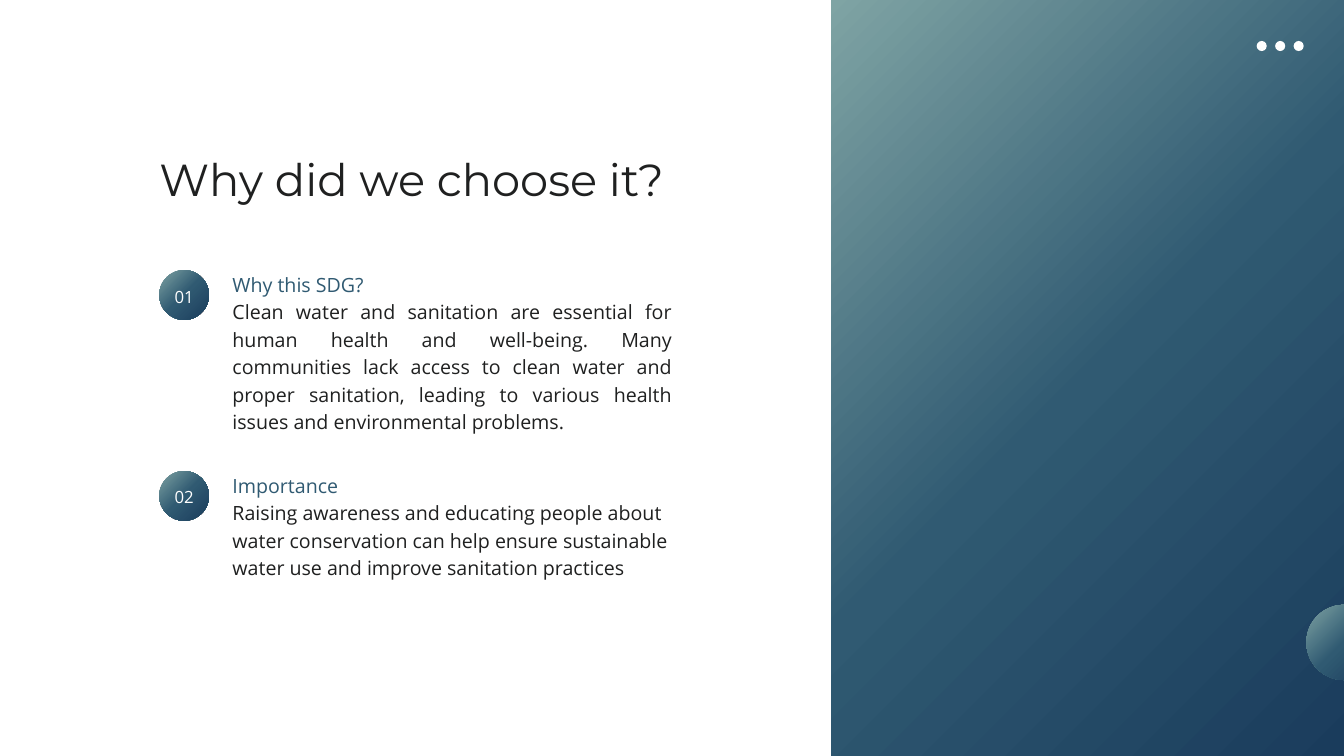
from copy import deepcopy

from pptx import Presentation
from pptx.dml.color import RGBColor
from pptx.enum.shapes import MSO_SHAPE
from pptx.enum.text import MSO_AUTO_SIZE, PP_ALIGN
from pptx.oxml.ns import qn
from pptx.util import Inches, Pt

RECTANGLE = MSO_SHAPE.RECTANGLE
OVAL = MSO_SHAPE.OVAL
LEFT, CENTER, JUSTIFY = PP_ALIGN.LEFT, PP_ALIGN.CENTER, PP_ALIGN.JUSTIFY
FIT_SHAPE = MSO_AUTO_SIZE.SHAPE_TO_FIT_TEXT

WHITE = RGBColor(0xFF, 0xFF, 0xFF)
INK = RGBColor(0x1F, 0x20, 0x20)
SAGE = RGBColor(0x7F, 0xA4, 0xA4)
TEAL = RGBColor(0x30, 0x5A, 0x72)
NAVY = RGBColor(0x1A, 0x3C, 0x5C)

COLUMNS, ROWS = 20, 11.25
PANEL_LEFT = 12.37
MARGIN, TEXT_LEFT = 2.37, 3.46
BADGE, DOT, DOT_STEP = 0.74, 0.15, 0.275
FIRST_REASON, REASON_STEP = 4, 2.99

REASONS = [
    ("Why this SDG?",
     "Clean water and sanitation are essential for human health and well-being. "
     "Many communities lack access to clean water and proper sanitation, leading "
     "to various health issues and environmental problems.",
     JUSTIFY, 2.01),
    ("Importance",
     "Raising awareness and educating people about water conservation can help "
     "ensure sustainable water use and improve sanitation practices",
     LEFT, 1.2),
]


class Deck:
    formats = {
        "title": {"name": "Montserrat", "size": Pt(48), "color": INK, "leading": 56},
        "heading": {"name": "Open Sans", "size": Pt(21), "color": TEAL, "leading": 29.4},
        "body": {"name": "Open Sans", "size": Pt(21), "color": INK, "leading": 29.4},
        "number": {"name": "Open Sans", "size": Pt(18), "color": WHITE, "leading": 25.2},
    }

    def __init__(self):
        self.presentation = Presentation()
        self.presentation.slide_width = Inches(COLUMNS)
        self.presentation.slide_height = Inches(ROWS)
        self.slide = self.presentation.slides.add_slide(self.presentation.slide_layouts[6])
        background = self.slide.background.fill
        background.solid()
        background.fore_color.rgb = WHITE

    def place(self, column, row, width, height):
        cell_width = self.presentation.slide_width / COLUMNS
        cell_height = self.presentation.slide_height / ROWS
        return (round(column * cell_width), round(row * cell_height),
                round(width * cell_width), round(height * cell_height))

    def shape(self, kind, column, row, width, height):
        shape = self.slide.shapes.add_shape(kind, *self.place(column, row, width, height))
        shape.shadow.inherit = False
        shape.line.fill.background()
        return shape

    def gradient(self, kind, column, row, width, height):
        fill = self.shape(kind, column, row, width, height)
        stop_list = fill._element.spPr
        fill.fill.gradient()
        fill.fill.gradient_angle = 315
        stop_list = stop_list.find(qn("a:gradFill")).find(qn("a:gsLst"))
        stop_list.insert(1, deepcopy(stop_list[0]))
        stops = zip(fill.fill.gradient_stops, (SAGE, TEAL, NAVY), (0, 0.5, 1))
        for stop, color, position in stops:
            stop.color.rgb = color
            stop.position = position

    def dot(self, column, row):
        fill = self.shape(OVAL, column, row, DOT, DOT).fill
        fill.solid()
        fill.fore_color.rgb = WHITE

    def text(self, words, style, column, row, width, height, align=LEFT):
        box = self.slide.shapes.add_textbox(*self.place(column, row, width, height))
        frame_format = {
            "margin_left": 0, "margin_top": 0, "margin_right": 0, "margin_bottom": 0,
            "word_wrap": True, "auto_size": FIT_SHAPE,
        }
        for name, value in frame_format.items():
            setattr(box.text_frame, name, value)
        paragraph = box.text_frame.paragraphs[0]
        paragraph.alignment = align
        paragraph.line_spacing = Pt(self.formats[style]["leading"])
        run = paragraph.add_run()
        run.text = words
        for name in ("name", "size"):
            setattr(run.font, name, self.formats[style][name])
        run.font.color.rgb = self.formats[style]["color"]

    def reason(self, number, row, heading, body, align, height):
        self.gradient(OVAL, MARGIN, row + 0.02, BADGE, BADGE)
        self.text(body, "body", TEXT_LEFT, row + 0.41, 6.54, height, align)
        self.text(f"{number:02}", "number", MARGIN + 0.1, row + 0.21, 0.54, 0.33, CENTER)
        self.text(heading, "heading", TEXT_LEFT, row, 2.2, 0.39)


def main():
    deck = Deck()
    deck.gradient(RECTANGLE, PANEL_LEFT, 0, COLUMNS - PANEL_LEFT, ROWS)
    deck.gradient(OVAL, 19.44, 9, 1.12, 1.12)
    for index in range(3):
        deck.dot(18.7 + index * DOT_STEP, 0.61)
    deck.text("Why did we choose it?", "title", MARGIN, 2.28, 8.41, 0.78)
    for index, reason in enumerate(REASONS):
        deck.reason(index + 1, FIRST_REASON + index * REASON_STEP, *reason)
    deck.presentation.save("out.pptx")


if __name__ == "__main__":
    main()
